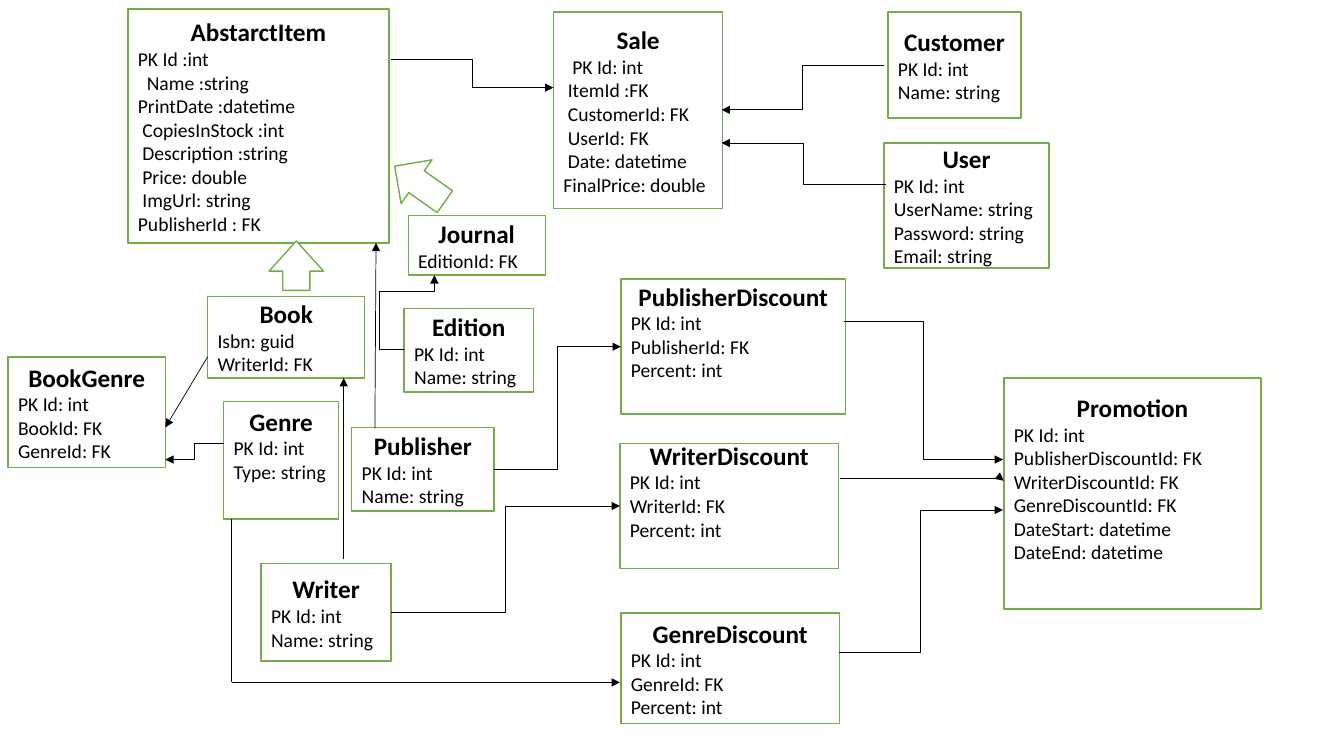
import pptx
import pptx.util
import pptx.dml.color
import pptx.enum.shapes
import pptx.enum.text
import pptx.oxml
import pptx.oxml.ns
from lxml import etree

Pt = pptx.util.Pt
RGB = pptx.dml.color.RGBColor.from_string
KIND = pptx.enum.shapes.MSO_SHAPE
LINK = pptx.enum.shapes.MSO_CONNECTOR
ALIGN = pptx.enum.text.PP_ALIGN
qn = pptx.oxml.ns.qn

PAGE = (960, 540)
THEME = {
    "font": "Calibri", "ink": "000000", "paper": "FFFFFF", "edge": "70AD47",
    "head": 18, "body": 14, "border": 1, "wire": 0.5,
}
HEAD = {"name": THEME["font"], "size": Pt(THEME["head"]), "bold": True}
BODY = {"name": THEME["font"], "size": Pt(THEME["body"]), "bold": False}
FRAME = {"word_wrap": True, "vertical_anchor": pptx.enum.text.MSO_ANCHOR.MIDDLE,
         "margin_left": Pt(7.2), "margin_right": Pt(7.2),
         "margin_top": Pt(3.6), "margin_bottom": Pt(3.6)}
STEP = 3.2    # one step of indent
SPARE = 22    # room kept free under the fields of some tables

# name: (left, top, width, height), fields, keeps spare room
# a field is a text, or a text with its indent steps
TABLES = {
    "AbstarctItem": ((91.4, 6.5, 186.5, 167), [
        "PK Id :int", ("Name :string", 2), "PrintDate :datetime",
        ("CopiesInStock :int", 1), ("Description :string", 1),
        ("Price: double", 1), ("ImgUrl: string", 1), "PublisherId : FK"], False),
    "Book": ((148.3, 211.7, 112.3, 58.3), ["Isbn: guid", "WriterId: FK"], False),
    "Journal": ((291.6, 154.1, 97.9, 42.5), ["EditionId: FK"], False),
    "Sale": ((395.3, 8.6, 121, 140.4), [
        ("PK Id: int", 2), ("ItemId :FK", 1), ("CustomerId: FK", 1),
        ("UserId: FK", 1), ("Date: datetime", 1), "FinalPrice: double"], False),
    "Customer": ((634.3, 8.6, 95, 75.6), ["PK Id: int", "Name: string"], False),
    "User": ((631.4, 102.2, 118.1, 89.3), [
        "PK Id: int", "UserName: string", "Password: string", "Email: string"], False),
    "Genre": ((159.8, 286.6, 82.1, 84.2), ["PK Id: int", "Type: string"], True),
    "Edition": ((288.7, 220.3, 92.2, 59.8), ["PK Id: int", "Name: string"], False),
    "BookGenre": ((5.8, 254.9, 112.3, 79.2), [
        "PK Id: int", "BookId: FK", "GenreId: FK"], False),
    "Writer": ((186.5, 402.5, 92.9, 69.8), ["PK Id: int", "Name: string"], False),
    "Publisher": ((251.3, 305.3, 101.5, 59.8), ["PK Id: int", "Name: string"], False),
    "GenreDiscount": ((443.5, 437.8, 156.2, 79.2), [
        "PK Id: int", "GenreId: FK", "Percent: int"], False),
    "WriterDiscount": ((442.8, 316.8, 156.2, 89.3), [
        "PK Id: int", "WriterId: FK", "Percent: int"], True),
    "PublisherDiscount": ((443.5, 199.4, 160.6, 96.5), [
        "PK Id: int", "PublisherId: FK", "Percent: int"], True),
    "Promotion": ((717.1, 270, 183.6, 164.9), [
        "PK Id: int", "PublisherDiscountId: FK", "WriterDiscountId: FK",
        "GenreDiscountId: FK", "DateStart: datetime", "DateEnd: datetime"], True),
}

# kind, (left, top, width, height), turn, adjustments
ARROWS = [
    (KIND.RIGHT_ARROW, (277.9, 112.3, 43.9, 38.2), 215.3, (0.5, 0.5)),
    (KIND.DOWN_ARROW, (192.2, 172.1, 38.9, 35.3), 180, (0.5, 0.61)),
]

# start, end, bends; an end is a point, or a table with its side
LEFT, RIGHT = 1, 3
ELBOWS = [
    ((279.4, 42.5), (395.3, 62.6), ()),
    ((631.4, 46.8), (515.5, 78.5), ()),
    ((632.9, 131.8), (515.5, 102.2), ()),
    ((288.7, 249.8), (310.3, 196.6), (-81600, 78100)),
    ((602.6, 229.7), (716.4, 328.3), ()),
    ((599.8, 342), (717.1, 343.4), (101200,)),
    ((599, 465.8), (716.4, 364.3), ()),
    (("Publisher", RIGHT), ("PublisherDiscount", LEFT), ()),
    (("Writer", RIGHT), ("WriterDiscount", LEFT), ()),
    ((159.8, 316.8), (118.1, 328.3), ()),
]
# start, end, has an arrowhead
STRAIGHTS = [
    ((165.6, 487.4), (442.8, 487.4), True),
    ((245.5, 399.6), (245.5, 270), True),
    ((148.3, 254.9), (118.1, 305.3), True),
    ((267.8, 306), (268.6, 173.5), True),
    ((165.6, 370.8), (165.6, 487.4), False),
]


def apply(target, values):
    for key, value in values.items():
        setattr(target, key, value)


def add_form(slide, kind, place):
    form = slide.shapes.add_shape(kind, *map(Pt, place))
    form.shadow.inherit = False
    form.fill.solid()
    form.fill.fore_color.rgb = RGB(THEME["paper"])
    form.line.color.rgb = RGB(THEME["edge"])
    form.line.width = Pt(THEME["border"])
    return form


def write(para, text, style, align, steps=0):
    para.alignment = align
    if steps:
        para._p.get_or_add_pPr().set("marL", str(Pt(steps * STEP)))
    run = para.add_run()
    run.text = text
    apply(run.font, style)
    run.font.color.rgb = RGB(THEME["ink"])


def add_entity(slide, name, place, fields, spare):
    box = add_form(slide, KIND.RECTANGLE, place)
    frame = box.text_frame
    apply(frame, FRAME)
    if spare:
        frame.margin_bottom += Pt(SPARE)
    write(frame.paragraphs[0], name, HEAD, ALIGN.CENTER)
    for field in fields:
        text, steps = (field, 0) if isinstance(field, str) else field
        write(frame.add_paragraph(), text, BODY, ALIGN.LEFT, steps)
    return box


def add_wire(slide, kind, start, end, boxes, head=True, bends=()):
    """Draw a connector, joined to a table where an end names one."""
    points = [(0, 0) if stop[0] in boxes else stop for stop in (start, end)]
    wire = slide.shapes.add_connector(kind, *[Pt(n) for point in points for n in point])
    for stop, join in ((start, wire.begin_connect), (end, wire.end_connect)):
        if stop[0] in boxes:
            join(boxes[stop[0]], stop[1])
    wire.line.color.rgb = RGB(THEME["ink"])
    wire.line.width = Pt(THEME["wire"])
    props = wire._element.spPr
    if head:
        etree.SubElement(props.find(qn("a:ln")), qn("a:tailEnd"), type="triangle")
    etree.SubElement(props, qn("a:effectLst"))
    if bends:
        shape = props.find(qn("a:prstGeom"))
        shape.set("prst", f"bentConnector{len(bends) + 2}")
        guides = shape.find(qn("a:avLst"))
        if guides is None:
            guides = etree.SubElement(shape, qn("a:avLst"))
        for num, bend in enumerate(bends, 1):
            etree.SubElement(guides, qn("a:gd"), name=f"adj{num}", fmla=f"val {bend}")


def main():
    deck = pptx.Presentation()
    deck.slide_width, deck.slide_height = map(Pt, PAGE)
    slide = deck.slides.add_slide(deck.slide_layouts[6])
    boxes = {name: add_entity(slide, name, *parts) for name, parts in TABLES.items()}
    for kind, place, turn, shape in ARROWS:
        arrow = add_form(slide, kind, place)
        arrow.rotation = turn
        for num, value in enumerate(shape):
            arrow.adjustments[num] = value
    for start, end, bends in ELBOWS:
        add_wire(slide, LINK.ELBOW, start, end, boxes, bends=bends)
    for start, end, head in STRAIGHTS:
        add_wire(slide, LINK.STRAIGHT, start, end, boxes, head)
    deck.save("out.pptx")


if __name__ == "__main__":
    main()
